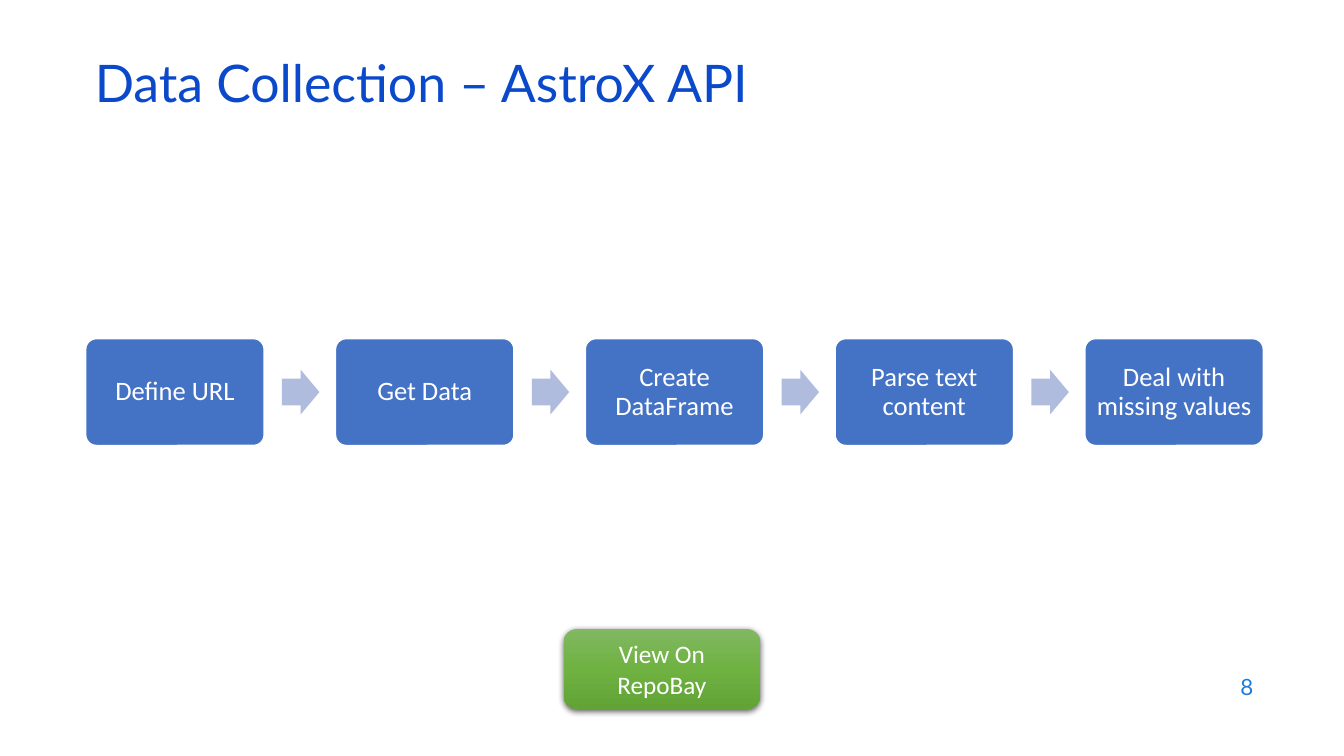
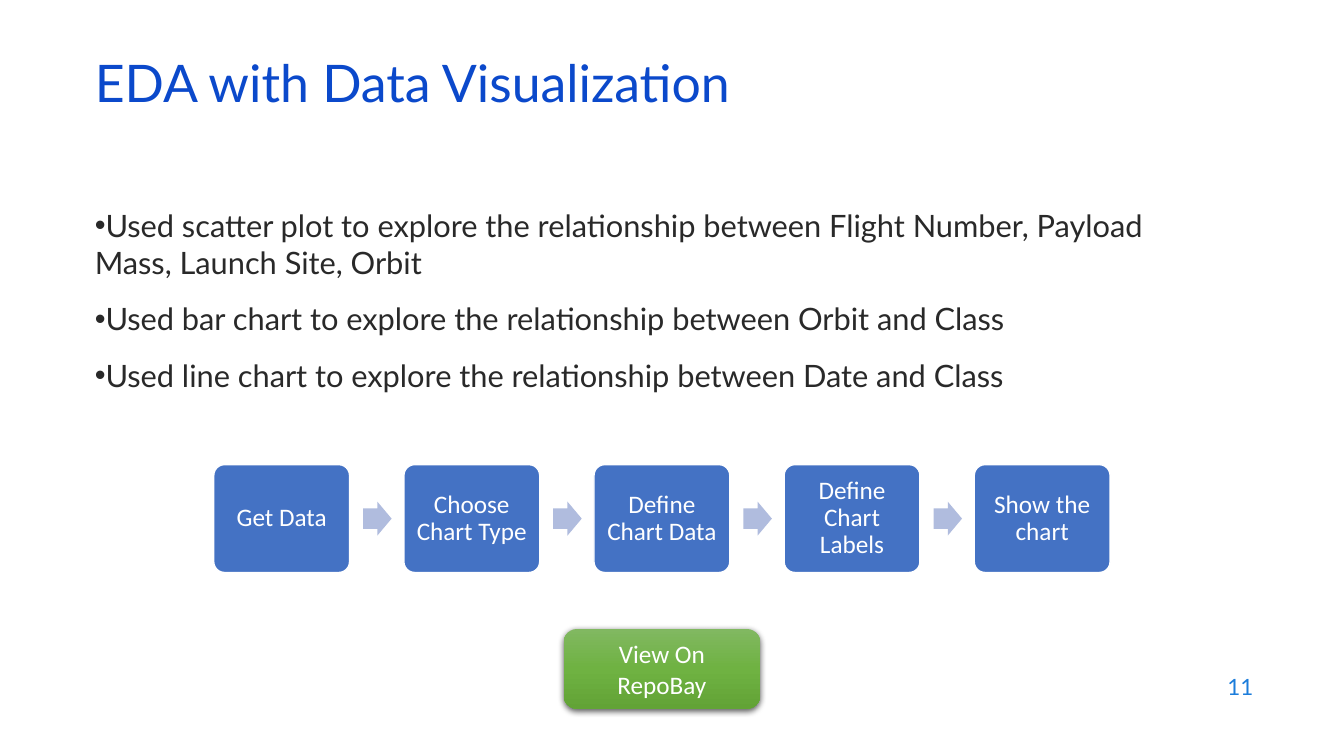
from lxml import etree
from pptx import Presentation
from pptx.dml.color import RGBColor
from pptx.enum.shapes import MSO_SHAPE
from pptx.enum.text import MSO_ANCHOR, MSO_AUTO_SIZE, PP_ALIGN
from pptx.oxml.ns import qn
from pptx.util import Inches, Pt

ROUND, ARROW = MSO_SHAPE.ROUNDED_RECTANGLE, MSO_SHAPE.RIGHT_ARROW
TOP, MID = MSO_ANCHOR.TOP, MSO_ANCHOR.MIDDLE
LEFT, MIDDLE, RIGHT = PP_ALIGN.LEFT, PP_ALIGN.CENTER, PP_ALIGN.RIGHT
NO_FIT = MSO_AUTO_SIZE.NONE

HEAD, BODY = "Lato", "Calibri"
NAVY, SKY, INK, WHITE = "0B49CB", "1C7DDB", "292929", "FFFFFF"
BLUE, PALE = "4472C4", "B0BCDE"
GREENS = [(0, "81B861"), (50, "6FB242"), (100, "62A336")]
BUTTON = "View On RepoBay"

SLIDES = [
    dict(
        title="Data Collection – AstroX API", page="8", points=[],
        steps=["Define URL", "Get Data", "Create DataFrame",
               "Parse text content", "Deal with missing values"],
        flow=dict(left=0.85, right=12.53, top=3.36, height=1.06,
                  size=19, pad=0.08),
    ),
    dict(
        title="EDA with Data Visualization", page="11",
        points=[
            "Used scatter plot to explore the relationship between "
            "Flight Number, Payload Mass, Launch Site, Orbit",
            "Used bar chart to explore the relationship between Orbit and Class",
            "Used line chart to explore the relationship between Date and Class",
        ],
        steps=["Get Data", "Choose Chart Type", "Define Chart Data",
               "Define Chart Labels", "Show the chart"],
        flow=dict(left=2.12, right=11.01, top=4.61, height=1.07,
                  size=18, pad=0.07),
    ),
]


def color(code):
    return RGBColor.from_string(code)


def place(shape, *box):
    shape.left, shape.top, shape.width, shape.height = map(Inches, box)


def node(parent, tag, **attrs):
    return etree.SubElement(parent, qn(tag), attrs)


def write(shape, lines, size, code, font=BODY, align=MIDDLE, anchor=MID,
          pad=None, space=None, gap=0, bullet=False):
    frame = shape.text_frame
    frame.word_wrap = True
    frame.auto_size = NO_FIT
    frame.vertical_anchor = anchor
    if pad is not None:
        frame.margin_left = frame.margin_right = Inches(pad)
        frame.margin_top = frame.margin_bottom = Inches(pad)
    lines = [lines] if isinstance(lines, str) else lines
    for i, line in enumerate(lines):
        para = frame.add_paragraph() if i else frame.paragraphs[0]
        para.text = line
        para.alignment = align
        para.space_before = Pt(gap if i else 0)
        if space:
            para.line_spacing = space
        if bullet:
            props = para._p.get_or_add_pPr()
            props.set("marL", "0")
            props.set("indent", "0")
            node(props, "a:buChar", char="•")
        para.font.name = font
        para.font.size = Pt(size)
        para.font.color.rgb = color(code)


def draw(slide, kind, box, fill=None, line=None):
    shape = slide.shapes.add_shape(kind, *map(Inches, box))
    shape.shadow.inherit = False
    if fill:
        shape.fill.solid()
        shape.fill.fore_color.rgb = color(fill)
    if line:
        shape.line.color.rgb = color(line)
        shape.line.width = Pt(1)
    else:
        shape.line.fill.background()
    return shape


def add_flow(slide, steps, left, right, top, height, size, pad):
    count = len(steps)
    width = (right - left) / (count + 0.4 * (count - 1))
    wide, tall = 0.21 * width, 0.25 * width
    for i, step in enumerate(steps):
        x = left + 1.4 * width * i
        card = draw(slide, ROUND, (x, top, width, height), BLUE, WHITE)
        card.adjustments[0] = 0.1
        write(card, step, size, WHITE, pad=pad, space=0.9)
        if i < count - 1:
            y = top + (height - tall) / 2
            arrow = draw(slide, ARROW, (x + 1.1 * width, y, wide, tall), PALE)
            arrow.adjustments[0] = 0.6


def add_button(slide):
    button = draw(slide, ROUND, (5.59, 6.24, 1.95, 0.79))
    button.fill.gradient()
    button.fill.gradient_angle = 270
    props = button._element.spPr
    stops = props.find(".//" + qn("a:gsLst"))
    for stop in list(stops):
        stops.remove(stop)
    for at, code in GREENS:
        stop = node(stops, "a:gs", pos=str(at * 1000))
        node(stop, "a:srgbClr", val=code)
    shade = node(props.find(qn("a:effectLst")), "a:outerShdw",
                 blurRad=str(Pt(4.5)), dist=str(Pt(1.5)), dir="5400000",
                 algn="ctr", rotWithShape="0")
    tint = node(shade, "a:srgbClr", val="000000")
    node(tint, "a:alpha", val="63000")
    write(button, BUTTON, 18, WHITE)


def add_page(deck, title, page, points, steps, flow):
    slide = deck.slides.add_slide(deck.slide_layouts[1 if points else 5])
    head = slide.shapes.title
    place(head, 0.84, 0.59, 11.5, 0.6)
    write(head, title, 37, NAVY, HEAD, LEFT, space=0.7)
    if points:
        body = slide.placeholders[1]
        place(body, 0.84, 2, 10.66, 4.76)
        write(body, points, 22, INK, HEAD, LEFT, TOP, gap=14, bullet=True)
    add_flow(slide, steps, **flow)
    add_button(slide)
    foot = slide.shapes.add_textbox(*map(Inches, (9.53, 6.59, 3, 0.44)))
    write(foot, page, 16, SKY, HEAD, RIGHT)


def main():
    deck = Presentation()
    deck.slide_width, deck.slide_height = Inches(13.33), Inches(7.5)
    for item in SLIDES:
        add_page(deck, **item)
    deck.save("out.pptx")


if __name__ == "__main__":
    main()
